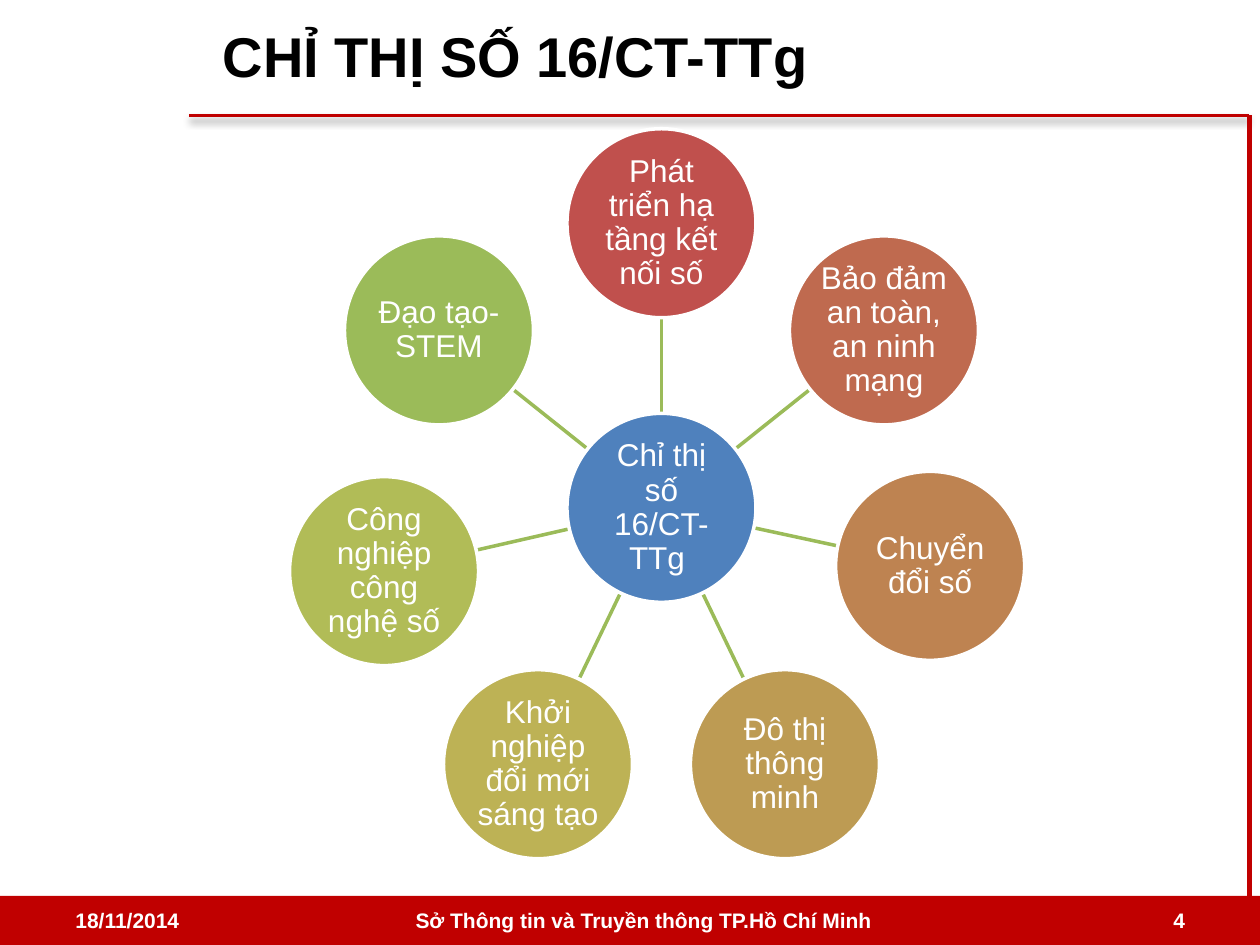
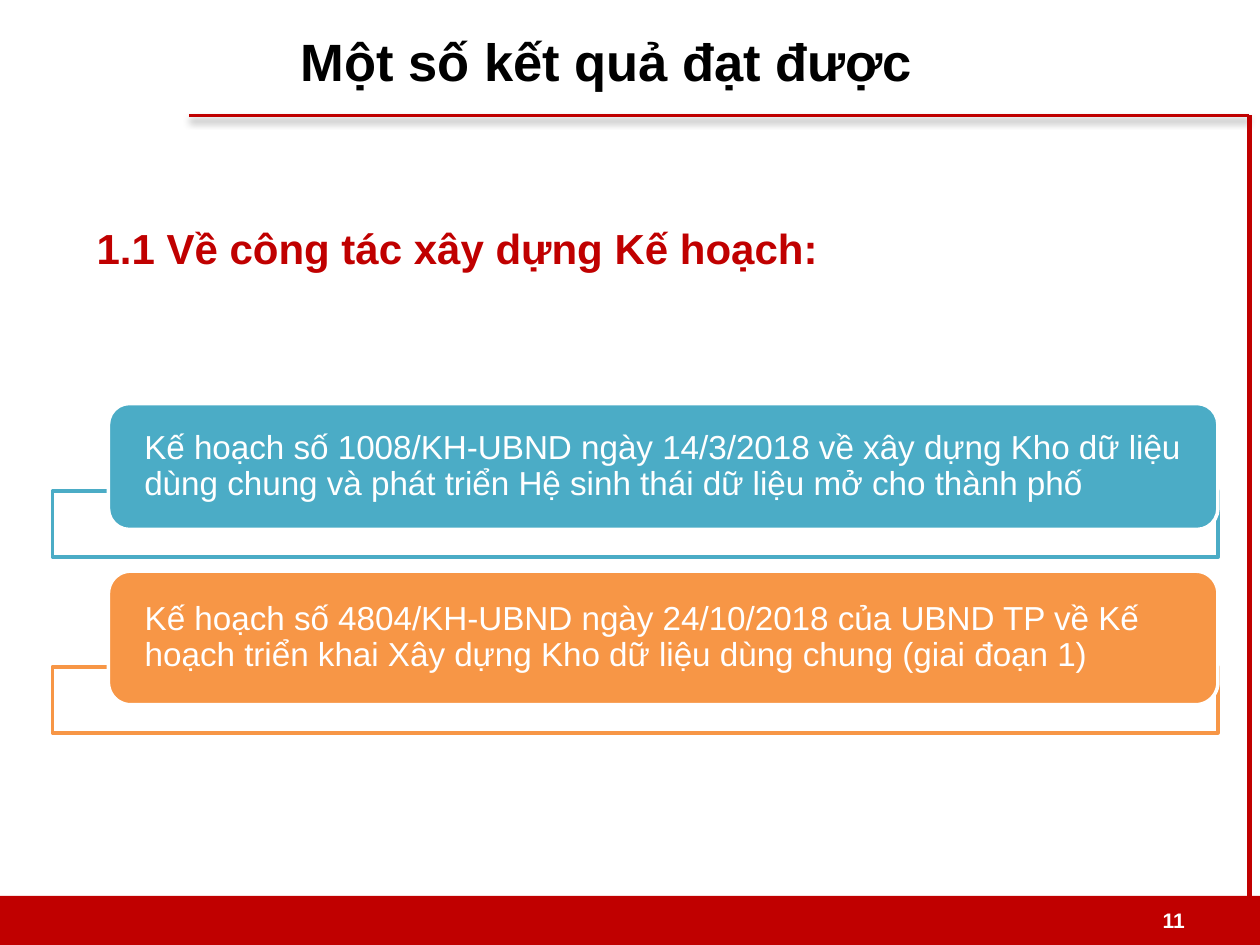
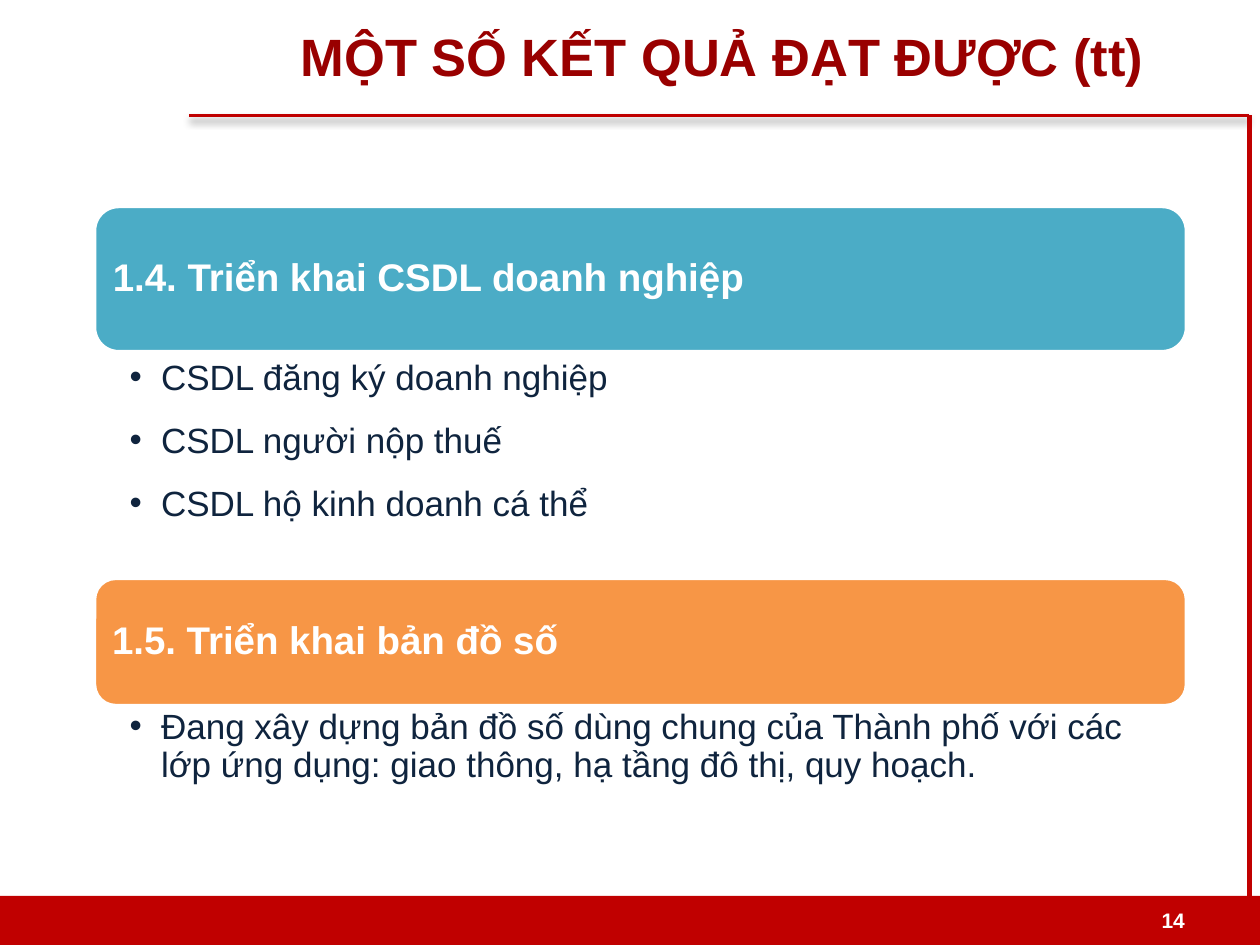
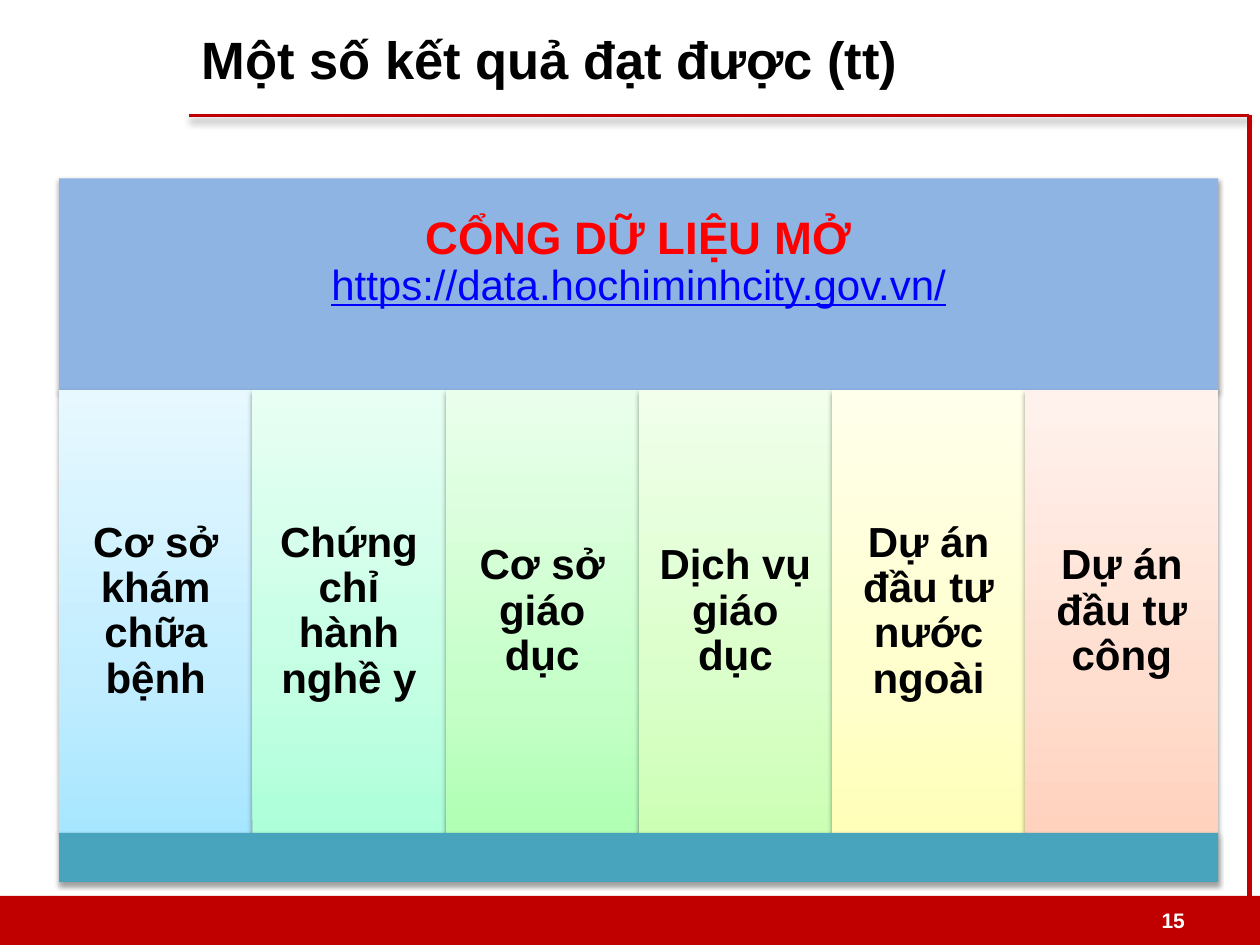
"""Build four slides on Directive 16/CT-TTg and the results achieved."""
import copy
import math

from pptx import Presentation, oxml
from pptx import util as u
from pptx.dml.color import RGBColor
from pptx.enum import shapes, text
from pptx.oxml import ns


class Theme:
    font = "Arial"
    red, dark_red, bright_red = "C00000", "990000", "FF0000"
    white, black, navy, link = "FFFFFF", "000000", "0F243E", "0000FF"
    blue, teal, orange, green = "4F81BD", "4BACC6", "F79646", "9BBB59"
    portal, base = "8EB4E3", "48A4BD"
    title, title_large, section, heading = 30, 32, 24, 22
    portal_name, column, bullet, plan, node, footer = 26, 24, 20, 19, 18, 12
    rule_shadow = (40, 4, 3)
    block_shadow = (38, 3.1, 1.6)


LEFT, CENTER, RIGHT, JUSTIFY = (
    text.PP_ALIGN.LEFT, text.PP_ALIGN.CENTER, text.PP_ALIGN.RIGHT, text.PP_ALIGN.JUSTIFY)
OVAL, RECT, ROUND = (
    shapes.MSO_SHAPE.OVAL, shapes.MSO_SHAPE.RECTANGLE, shapes.MSO_SHAPE.ROUNDED_RECTANGLE)
STRAIGHT = shapes.MSO_CONNECTOR.STRAIGHT


def style(sp, fill=None, line=None, width=2, shadow=None):
    if fill:
        sp.fill.solid()
        sp.fill.fore_color.rgb = RGBColor.from_string(fill)
    if line:
        sp.line.color.rgb = RGBColor.from_string(line)
        sp.line.width = u.Pt(width)
    else:
        sp.line.fill.background()
    effect = ""
    if shadow:
        alpha, blur, dist = shadow
        effect = (f'<a:outerShdw blurRad="{u.Pt(blur)}" dist="{u.Pt(dist)}" dir="5400000" '
                  f'rotWithShape="0"><a:srgbClr val="{Theme.black}">'
                  f'<a:alpha val="{alpha * 1000}"/></a:srgbClr></a:outerShdw>')
    sp.element.spPr.append(oxml.parse_xml(
        f'<a:effectLst {ns.nsdecls("a")}>{effect}</a:effectLst>'))
    return sp


def write(sp, lines, size, color, bold=False, para=None, inset=(7.2, 3.6, 7.2, 3.6),
          anchor=text.MSO_ANCHOR.MIDDLE, box=None):
    if box:
        for k, v in zip(("left", "top", "width", "height"), box):
            setattr(sp, k, u.Pt(v))
    tf = sp.text_frame
    frame = {"word_wrap": True, "auto_size": text.MSO_AUTO_SIZE.NONE, "vertical_anchor": anchor}
    for k, v in frame.items():
        setattr(tf, k, v)
    for side, v in zip(("left", "top", "right", "bottom"), inset):
        setattr(tf, f"margin_{side}", u.Pt(v))
    for i, line in enumerate(lines):
        p = tf.add_paragraph() if i else tf.paragraphs[0]
        for k, v in (para or {}).items():
            setattr(p, k, v)
        r = p.add_run()
        r.text = line
        for k, v in {"name": Theme.font, "size": u.Pt(size), "bold": bold}.items():
            setattr(r.font, k, v)
        r.font.color.rgb = RGBColor.from_string(color)
    return tf


prs = Presentation()
prs.slide_width, prs.slide_height = u.Pt(720), u.Pt(540)

pages = [
    (5, "CHỈ THỊ SỐ 16/CT-TTg", Theme.title_large, Theme.black, LEFT, (120, 3), "4"),
    (1, "Một số kết quả đạt được ", Theme.title, Theme.black, CENTER, (54, 6), "11"),
    (3, "MỘT SỐ KẾT QUẢ ĐẠT ĐƯỢC (tt) ", Theme.title, Theme.dark_red, CENTER, (120, 3), "14"),
    (5, "Một số kết quả đạt được (tt)", Theme.title, Theme.black, LEFT, (108, 5), "15"),
]
slides = []
for layout, title, size, color, align, corner, number in pages:
    s = prs.slides.add_slide(prs.slide_layouts[layout])
    slides.append(s)
    write(s.shapes.title, [title], size, color, True, {"alignment": align},
          box=(*corner, 594, 57))
    footers = [(516.2, 168, RIGHT, number)]
    if s is slides[0]:
        footers += [(36, 168, LEFT, "18/11/2014"),
                    (224.6, 286.6, CENTER, "Sở Thông tin và Truyền thông TP.Hồ Chí Minh")]
    for left, width, side, label in footers:
        sp = s.shapes.add_textbox(*map(u.Pt, (left, 511.2, width, 28.8)))
        write(sp, [label], Theme.footer, Theme.white, True, {"alignment": side})

directive, plans, databases, portal = slides

band = style(directive.shapes.add_shape(RECT, *map(u.Pt, (0, 511.9, 720, 28.1))), Theme.red)
top_rule = style(directive.shapes.add_connector(STRAIGHT, *map(u.Pt, (108, 66, 714, 66))),
                 line=Theme.red, width=2.25, shadow=Theme.rule_shadow)
side_rule = style(directive.shapes.add_connector(STRAIGHT, *map(u.Pt, (714, 66, 714, 516))),
                  line=Theme.red, width=3)
for i, sp in enumerate((band, top_rule, side_rule)):
    sp.element.xpath(".//p:cNvPr")[0].set("id", str(101 + i))
    prs.slide_master.shapes.element.insert(2 + i, sp.element)

hub_x, hub_y, radius, orbit = 378, 290.2, 54, 162.6
nodes = [
    ("Phát triển hạ tầng kết nối số", "C0504D", 0, 0),
    ("Bảo đảm an toàn, an ninh mạng", "BF6A4F", 0, 0),
    ("Chuyển đổi số", "BE8351", -5, -3),
    ("Đô thị thông minh", "BD9B53", 0, 0),
    ("Khởi nghiệp đổi mới sáng tạo", "BDB255", 0, 0),
    ("Công nghiệp công nghệ số", "B1BC57", 0, 0),
    ("Đạo tạo-STEM", Theme.green, 0, 0),
]
circles = [("Chỉ thị số 16/CT-TTg ", Theme.blue, 0, 0)]
for i, (label, color, shift_x, shift_y) in enumerate(nodes):
    angle = math.tau * i / len(nodes)
    dx, dy = orbit * math.sin(angle) + shift_x, -orbit * math.cos(angle) + shift_y
    circles.append((label, color, dx, dy))
    start = radius / math.hypot(dx, dy)
    ends = [hub_x + dx * start, hub_y + dy * start,
            hub_x + dx * (1 - start), hub_y + dy * (1 - start)]
    style(directive.shapes.add_connector(STRAIGHT, *map(u.Pt, ends)), line=Theme.green)
for label, color, dx, dy in circles:
    box = (hub_x + dx - radius, hub_y + dy - radius, 2 * radius, 2 * radius)
    sp = style(directive.shapes.add_shape(OVAL, *map(u.Pt, box)), color, Theme.white)
    write(sp, [label], Theme.node, Theme.white,
          para={"alignment": CENTER, "line_spacing": 0.9}, inset=(1, 1, 1, 1))

tf = write(plans.placeholders[1], ["1.1 Về công tác xây dựng Kế hoạch:"], Theme.section,
           Theme.red, True, {"alignment": JUSTIFY, "space_before": u.Pt(6),
                             "space_after": u.Pt(12)}, box=(48, 94.5, 630, 94.5))
pPr = tf.paragraphs[0]._p.get_or_add_pPr()
for k in ("marL", "indent"):
    pPr.set(k, "0")
pPr.append(oxml.parse_xml(f'<a:buNone {ns.nsdecls("a")}/>'))

plan_rows = [
    (Theme.teal, 280.6, 230.6, 72, "Kế hoạch số 1008/KH-UBND ngày 14/3/2018 về xây dựng Kho dữ "
     "liệu dùng chung và phát triển Hệ sinh thái dữ liệu mở cho thành phố"),
    (Theme.orange, 381, 326.4, 76.3, "Kế hoạch số 4804/KH-UBND ngày 24/10/2018 của UBND TP về Kế "
     "hoạch triển khai Xây dựng Kho dữ liệu dùng chung (giai đoạn 1)"),
]
for color, frame_top, top, height, label in plan_rows:
    sp = style(plans.shapes.add_shape(RECT, *map(u.Pt, (30, frame_top, 666, 37.8))),
               Theme.white, color)
    tint = sp.element.spPr.xpath("./a:solidFill/a:srgbClr")[0]
    tint.append(oxml.parse_xml(f'<a:alpha {ns.nsdecls("a")} val="90000"/>'))
    sp = style(plans.shapes.add_shape(ROUND, *map(u.Pt, (62, top, 634, height))),
               color, Theme.white)
    write(sp, [label], Theme.plan, Theme.white,
          para={"alignment": LEFT, "line_spacing": 0.9}, inset=(17, 0, 17, 0))

sections = [
    (Theme.teal, 118, 83, 129.6, 1, 12, "1.4. Triển khai CSDL doanh nghiệp",
     ["CSDL đăng ký doanh nghiệp", "CSDL người nộp thuế", "CSDL hộ kinh doanh cá thể"]),
    (Theme.orange, 330.5, 72.7, 85, 0.9, 4, "1.5. Triển khai bản đồ số",
     ["Đang xây dựng bản đồ số dùng chung của Thành phố với các lớp ứng dụng: "
      "giao thông, hạ tầng đô thị, quy hoạch."]),
]
for i, (color, top, height, list_height, spacing, after, head, items) in enumerate(sections, 1):
    sp = style(databases.shapes.add_shape(ROUND, *map(u.Pt, (54, top, 624, height))),
               color, Theme.white)
    write(sp, [head], Theme.heading, Theme.white, True,
          {"alignment": LEFT, "line_spacing": 0.9}, (6.5, 6.5, 6.5, 6.5))
    tf = write(databases.placeholders[i], items, Theme.bullet, Theme.navy,
               para={"line_spacing": spacing, "space_before": u.Pt(0),
                     "space_after": u.Pt(after)},
               inset=(20, 2, 11.5, 2), anchor=text.MSO_ANCHOR.TOP,
               box=(54, top + height, 624, list_height))
    for p in tf.paragraphs:
        for k, v in {"marL": 18, "indent": -18}.items():
            p._p.get_or_add_pPr().set(k, str(u.Pt(v)))

left, width = 33.8, 662.4
sp = style(portal.shapes.add_shape(RECT, *map(u.Pt, (left, 102, width, 121))),
           Theme.portal, shadow=Theme.block_shadow)
tf = write(sp, ["CỔNG DỮ LIỆU MỞ", "https://data.hochiminhcity.gov.vn/"], Theme.portal_name,
           Theme.bright_red, True, {"alignment": CENTER, "line_spacing": 0.9}, (8, 8, 8, 33))
address = tf.paragraphs[1].runs[0].font
for k, v in {"size": u.Pt(Theme.column), "bold": False, "underline": True}.items():
    setattr(address, k, v)
address.color.rgb = RGBColor.from_string(Theme.link)

columns = [
    ("Cơ sở khám chữa bệnh", "A7E6FF", "C1EDFF", "E7F8FF"),
    ("Chứng chỉ hành nghề y", "ACFFD9", "C4FFE4", "E8FFF4"),
    ("Cơ sở giáo dục", "B0FFB4", "C7FFCA", "EAFFEB"),
    ("Dịch vụ giáo dục", "CCFFB4", "DAFFCA", "F1FFEB"),
    ("Dự án đầu tư nước ngoài", "FFFFB9", "FFFFCD", "FFFFEC"),
    ("Dự án đầu tư công", "FFD2BD", "FFDED0", "FFF2ED"),
]
step = width / len(columns)
for i, (label, *colors) in enumerate(columns):
    box = (left + i * step, 222.8, step, 253.4)
    sp = style(portal.shapes.add_shape(RECT, *map(u.Pt, box)), shadow=Theme.block_shadow)
    sp.fill.gradient()
    sp.fill.gradient_angle = 90
    stops = sp.element.spPr.xpath(".//a:gsLst")[0]
    stops.insert(1, copy.deepcopy(stops[0]))
    for stop, position, color in zip(sp.fill.gradient_stops, (0, 0.35, 1), colors):
        stop.position = position
        stop.color.rgb = RGBColor.from_string(color)
    write(sp, [label], Theme.column, Theme.black, True,
          {"alignment": CENTER, "line_spacing": 0.9}, (7.2, 7.2, 7.2, 7.2))
style(portal.shapes.add_shape(RECT, *map(u.Pt, (left, 476, width, 28))),
      Theme.base, shadow=Theme.block_shadow)

prs.save("out.pptx")
